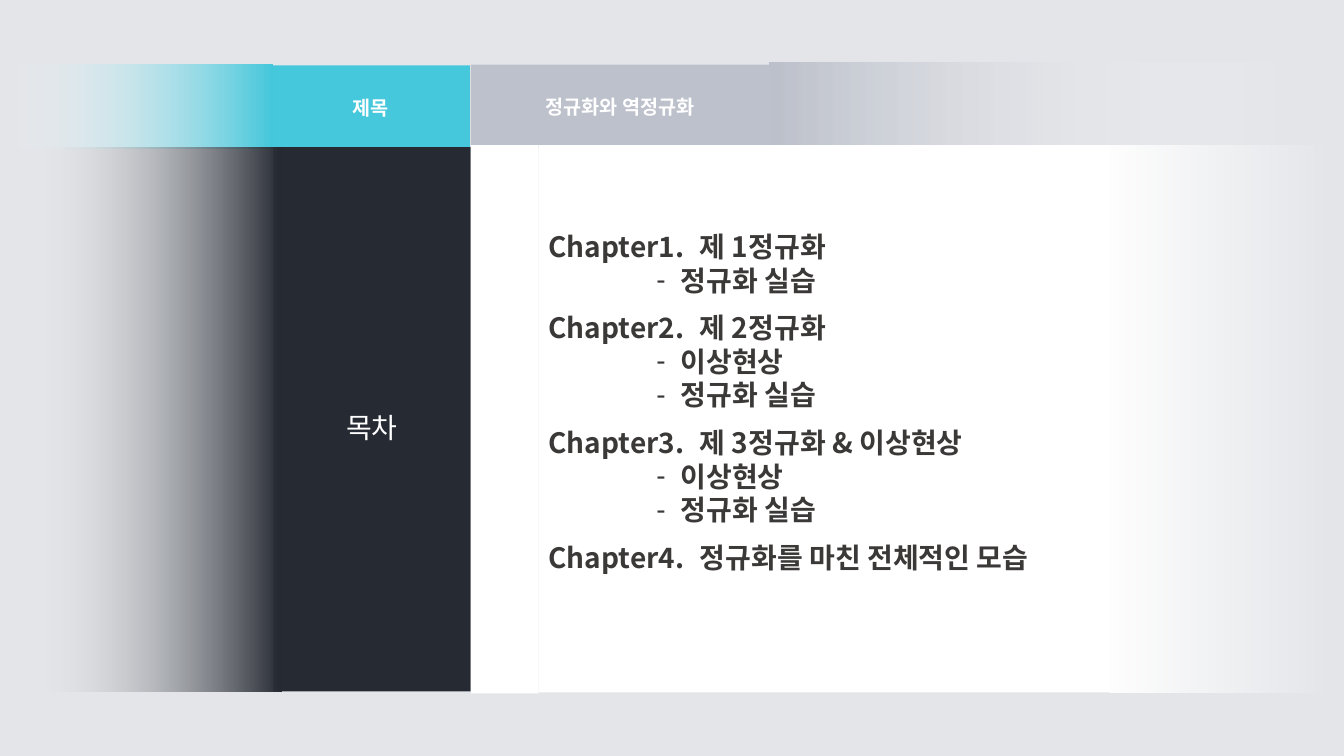
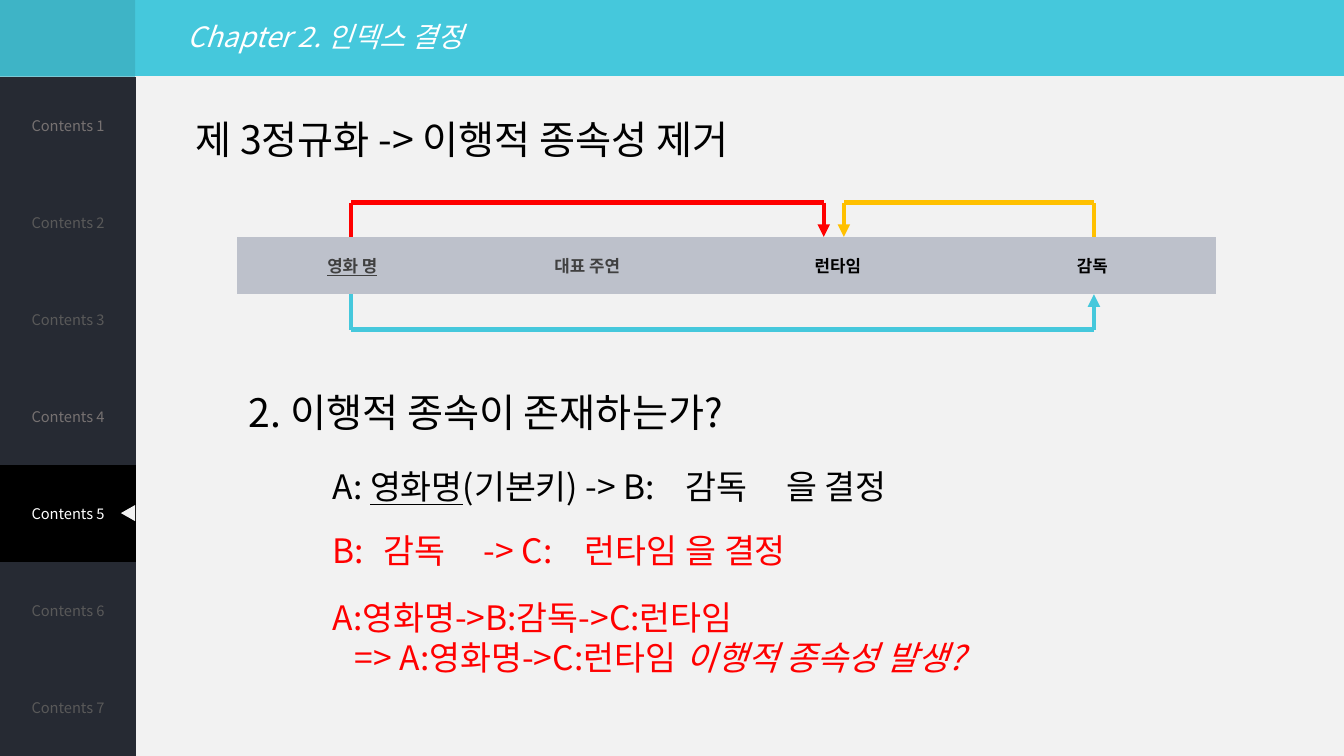
"""Build a contents slide and a normalization slide in one shared style."""
from lxml.etree import SubElement as Sub
from pptx import Presentation
from pptx.dml.color import RGBColor as Rgb
from pptx.enum.shapes import MSO_CONNECTOR as Link, MSO_SHAPE as Form
from pptx.enum.text import MSO_ANCHOR as Anchor, MSO_AUTO_SIZE as Fit, PP_ALIGN as Align
from pptx.oxml.ns import qn
from pptx.util import Inches, Pt

FONT = "Noto Sans CJK KR"
PLAIN = "{2D5ABB26-0587-4C30-8999-92F81FD0307C}"
HUES = {
    "teal": "45C8DC", "deep": "3EB4C6", "dark": "262A33", "gray": "BDC1CB",
    "mist": "E3E5E9", "pale": "F2F2F2", "white": "FFFFFF", "black": "000000",
    "brown": "3B3838", "soft": "404040", "dim": "595959", "warm": "767171",
    "red": "FF0000", "gold": "FFC000",
}


def hue(name):
    return Rgb.from_string(HUES[name])


class Deck:
    def __init__(self):
        self.show = Presentation()
        self.show.slide_width, self.show.slide_height = Inches(13.33), Inches(7.5)
        self.slide = None

    def page(self):
        self.slide = self.show.slides.add_slide(self.show.slide_layouts[1])
        return self.slide.background.fill

    def look(self, par, size, color, bold=False, slant=False, align=Align.LEFT):
        par.alignment = align
        for run in par.runs:
            font = run.font
            font.size, font.bold, font.italic = Pt(size), bold, slant
            font.name = FONT
            font.color.rgb = hue(color)
            Sub(run._r.get_or_add_rPr(), qn("a:ea"), typeface=FONT)

    def lay(self, par, left=0, first=0, tabs=(), mark=None, before=0):
        par.space_before = Pt(before)
        props = par._p.get_or_add_pPr()
        props.set("marL", str(Inches(left)))
        props.set("indent", str(Inches(first)))
        if mark:
            Sub(props, qn("a:buChar"), char=mark)
        else:
            Sub(props, qn("a:buNone"))
        if tabs:
            stops = Sub(props, qn("a:tabLst"))
            for spot in tabs:
                Sub(stops, qn("a:tab"), pos=str(Inches(spot)), algn="l")

    def put(self, item, box):
        item.left, item.top, item.width, item.height = map(Inches, box)
        frame = item.text_frame
        frame.word_wrap, frame.auto_size = True, Fit.NONE
        return frame

    def paint(self, shape, color):
        shape.fill.solid()
        shape.fill.fore_color.rgb = hue(color)

    def title(self, box, text, size, fill=None, **style):
        head = self.slide.shapes.title
        frame = self.put(head, box)
        frame.text = text
        frame.vertical_anchor = Anchor.MIDDLE
        self.look(frame.paragraphs[0], size, "white", **style)
        if fill:
            self.paint(head, fill)

    def body(self, box, rows, fill=None):
        item = self.slide.placeholders[1]
        frame = self.put(item, box)
        for spot, row in enumerate(rows):
            par = frame.paragraphs[0] if spot == 0 else frame.add_paragraph()
            for piece in row:
                par.add_run().text = piece
        if fill:
            self.paint(item, fill)
        return frame

    def note(self, box, text, size):
        frame = self.put(self.slide.shapes.add_textbox(0, 0, 0, 0), box)
        frame.text = text
        self.look(frame.paragraphs[0], size, "black")

    def block(self, box, color, form=Form.RECTANGLE):
        shape = self.slide.shapes.add_shape(form, *map(Inches, box))
        shape.shadow.inherit = False
        shape.line.fill.background()
        self.paint(shape, color)
        return shape

    def label(self, box, color, text, size, bold=False):
        frame = self.block(box, color).text_frame
        frame.text = text
        frame.vertical_anchor = Anchor.MIDDLE
        self.look(frame.paragraphs[0], size, "white", bold, align=Align.CENTER)
        return frame.paragraphs[0]

    def fade(self, box, color, angle):
        shape = self.block(box, color)
        shape.fill.gradient()
        shape.fill.gradient_angle = angle
        for stop, name in zip(shape.fill.gradient_stops, (color, "white")):
            stop.color.rgb = hue(name)
        ends = list(shape.element.spPr.iter(qn("a:srgbClr")))
        Sub(ends[-1], qn("a:alpha"), val="0")

    def grid(self, box, widths, cells, size, bold=False, inset=0.1):
        count = len(cells) // len(widths)
        item = self.slide.shapes.add_table(count, len(widths), *map(Inches, box))
        next(item.element.iter(qn("a:tableStyleId"))).text = PLAIN
        table = item.table
        table.first_row = table.horz_banding = False
        for col, width in zip(table.columns, widths):
            col.width = Inches(width)
        for cell, (text, color, fill) in zip(table.iter_cells(), cells):
            cell.text = text
            cell.vertical_anchor = Anchor.MIDDLE
            cell.margin_left = Inches(inset)
            self.paint(cell, fill)
            self.look(cell.text_frame.paragraphs[0], size, color, bold, align=Align.CENTER)
        return table

    def route(self, start, end, edge, rail, color):
        spots = [(start, edge), (start, rail), (end, rail), (end, edge)]
        for one, two in zip(spots, spots[1:]):
            link = self.slide.shapes.add_connector(Link.STRAIGHT, *map(Inches, one + two))
            link.line.color.rgb = hue(color)
            link.line.width = Pt(3)
            Sub(link.element.spPr, qn("a:effectLst"))
        Sub(link.element.spPr.find(qn("a:ln")), qn("a:tailEnd"), type="triangle")


def contents(deck):
    back = deck.page()
    back.solid()
    back.fore_color.rgb = hue("mist")
    deck.title((4.67, 0.64, 2.96, 0.83), "정규화와 역정규화", 14, "gray",
               bold=True, align=Align.CENTER)
    rows = [
        "Chapter1.\t제 1정규화", "정규화 실습",
        "Chapter2.\t제 2정규화", "이상현상", "정규화 실습",
        "Chapter3.\t제 3정규화 & 이상현상", "이상현상", "정규화 실습",
        "Chapter4.\t정규화를 마친 전체적인 모습",
    ]
    frame = deck.body((5.34, 1.44, 5.67, 5.43), [[row] for row in rows], "white")
    frame.vertical_anchor = Anchor.MIDDLE
    frame.margin_bottom = Inches(0.39)
    for spot, par in enumerate(frame.paragraphs):
        deck.look(par, 20, "brown", bold=True)
        if par.text.startswith("Chapter"):
            deck.lay(par, tabs=[1.66], before=10 if spot else 0)
        else:
            deck.lay(par, 1.31, -0.24, mark="-")
    deck.label((2.7, 0.65, 1.96, 0.83), "teal", "제목", 14, True)
    side = deck.label((2.71, 1.46, 1.96, 5.4), "dark", "목차", 20)
    side.line_spacing = 1.5
    deck.fade((11.01, 1.44, 2.2, 5.43), "white", 0)
    deck.fade((7.63, 0.62, 5.26, 0.81), "gray", 0)
    deck.fade((0.04, 0.64, 2.66, 0.83), "teal", 180)
    deck.fade((0.13, 1.46, 2.66, 5.4), "dark", 180)
    deck.block((4.67, 1.44, 0.67, 5.44), "white")


def chapter(deck):
    back = deck.page()
    back.gradient()
    back.gradient_angle = 270
    for stop, name in zip(back.gradient_stops, ("teal", "pale")):
        stop.position = 0.1
        stop.color.rgb = hue(name)
    deck.title((1.76, 0.14, 10.64, 0.44), "Chapter 2. 인덱스 결정", 20, slant=True)

    frame = deck.body((3.2, 4.57, 8.87, 2.24), [
        ["A: ", "영화명", "(기본키) -> B:\t감독\t을 결정"],
        ["B:\t감독\t-> C:\t런타임\t을 결정"],
        ["A:영화명->B:감독->C:런타임"],
        ["=> A:영화명->C:런타임\t", "이행적 종속성 발생?"],
    ])
    plans = [
        ("black", {"tabs": [3.74, 5.11]}),
        ("red", {"tabs": [0.84, 2.37, 3.29, 4.68], "before": 17}),
        ("red", {"before": 19}),
        ("red", {"first": 0.22, "tabs": [4.14]}),
    ]
    for par, (color, plan) in zip(frame.paragraphs, plans):
        deck.look(par, 24, color)
        deck.lay(par, **plan)
    frame.paragraphs[0].runs[1].font.underline = True
    frame.paragraphs[3].runs[1].font.italic = True

    deck.block((0, 0, 1.34, 0.76), "deep")
    tones = ["warm", "dim", "dim", "warm", "white", "dim", "dim"]
    menu = [(f"Contents {num}", tone, "black" if num == 5 else "dark")
            for num, tone in enumerate(tones, 1)]
    deck.grid((0, 0.76, 1.35, 6.74), [1.35], menu, 10.5)
    deck.block((1.19, 5.02, 0.16, 0.14), "pale", Form.ISOSCELES_TRIANGLE).rotation = 270

    deck.note((1.84, 1.09, 11.12, 0.57), "제 3정규화 -> 이행적 종속성 제거", 28)
    deck.note((2.37, 3.8, 10.21, 0.57), "2. 이행적 종속이 존재하는가?", 28)
    fields = [("영화 명", "soft"), ("대표 주연", "soft"), ("런타임", "black"), ("감독", "black")]
    table = deck.grid((2.35, 2.35, 9.72, 0.57), [2.15, 2.51, 2.46, 2.59],
                      [(text, tone, "gray") for text, tone in fields], 12, True, 0.24)
    table.cell(0, 0).text_frame.paragraphs[0].runs[0].font.underline = True
    deck.route(3.48, 10.85, 2.92, 3.27, "teal")
    deck.route(10.85, 8.37, 2.35, 2.01, "gold")
    deck.route(3.48, 8.17, 2.35, 2.01, "red")


def main():
    deck = Deck()
    contents(deck)
    chapter(deck)
    deck.show.save("out.pptx")


if __name__ == "__main__":
    main()
